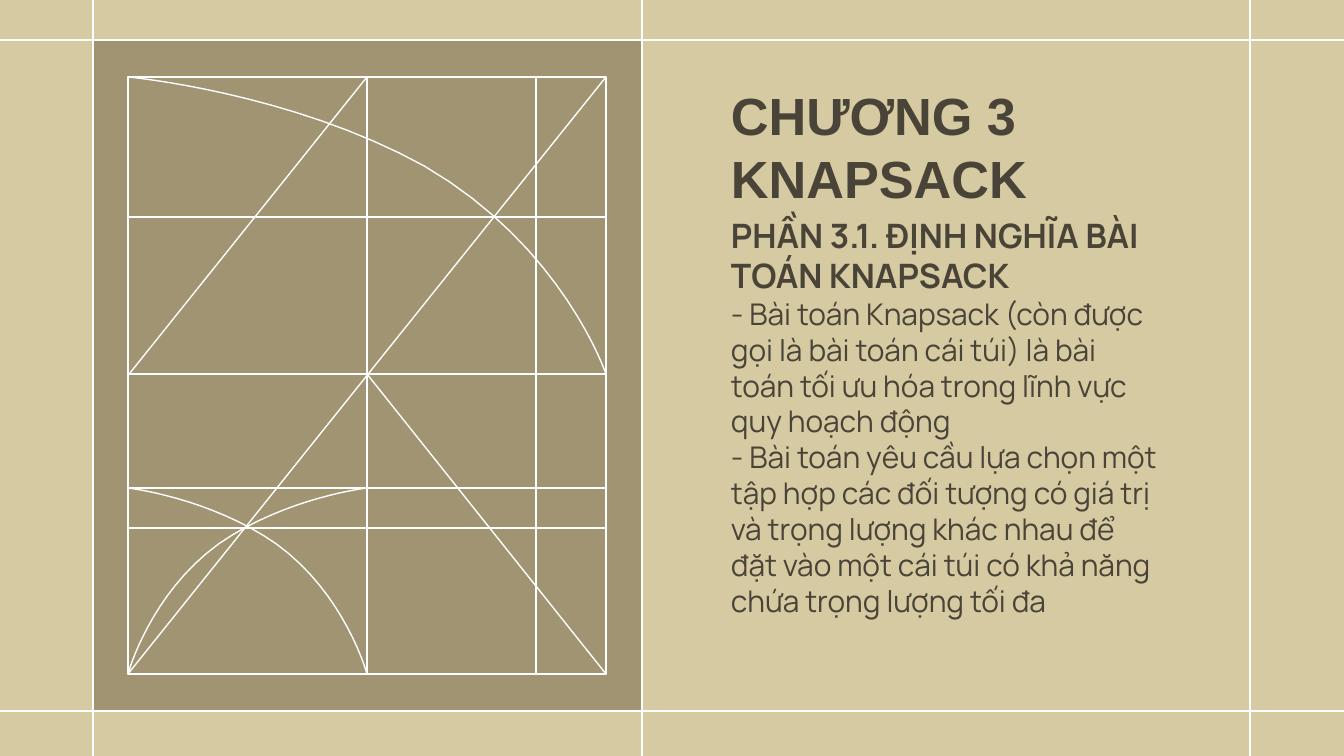
from lxml.etree import SubElement
from pptx import Presentation
from pptx.dml.color import RGBColor
from pptx.enum.shapes import MSO_CONNECTOR, MSO_SHAPE
from pptx.enum.text import MSO_ANCHOR, MSO_AUTO_SIZE, PP_ALIGN
from pptx.oxml.ns import qn
from pptx.util import Pt

SCALE = 9144000 / 1344  # EMU per px
COLORS = {"sand": "D6CAA2", "panel": "A09472", "line": "FFFFFF", "text": "494437"}


def px(*lengths):
    return [round(length * SCALE) for length in lengths]


def write(shape, paragraphs, left, top, width, height, font="Manrope", spacing=1.0):
    """Place a text shape and fill it with (text, size, bold) paragraphs."""
    shape.left, shape.top, shape.width, shape.height = px(left, top, width, height)
    frame = shape.text_frame
    frame.word_wrap = True
    frame.auto_size = MSO_AUTO_SIZE.NONE
    frame.vertical_anchor = MSO_ANCHOR.TOP
    frame.margin_left, frame.margin_top, frame.margin_right, frame.margin_bottom = px(13, 13, 13, 13)
    for index, (text, size, bold) in enumerate(paragraphs):
        paragraph = frame.add_paragraph() if index else frame.paragraphs[0]
        paragraph.alignment = PP_ALIGN.LEFT
        paragraph.line_spacing = spacing
        paragraph.space_before = paragraph.space_after = Pt(0)
        run = paragraph.add_run()
        run.text = text
        run.font.name, run.font.size, run.font.bold = font, Pt(size), bold
        run.font.color.rgb = RGBColor.from_string(COLORS["text"])


presentation = Presentation()
presentation.slide_width, presentation.slide_height = px(1344, 756)
slide = presentation.slides.add_slide(presentation.slide_layouts[5])
slide.background.fill.solid()
slide.background.fill.fore_color.rgb = RGBColor.from_string(COLORS["sand"])
shapes = slide.shapes
outlined = []

# Panel and drawing frame
panel = shapes.add_shape(MSO_SHAPE.RECTANGLE, *px(93, 40, 549, 671))
panel.fill.solid()
panel.fill.fore_color.rgb = RGBColor.from_string(COLORS["panel"])
left, top, right, bottom = 128, 77, 606, 674
center, middle = (left + right) // 2, 374
frame = shapes.add_shape(MSO_SHAPE.RECTANGLE, *px(left, top, right - left, bottom - top))
frame.fill.background()
outlined += [panel, frame]

# Page guides, grid lines and diagonals
lines = [(x, 0, x, 756) for x in (93, 642, 1250)]
lines += [(0, y, 1344, y) for y in (40, 711)]
lines += [(left, y, right, y) for y in (217, middle, 488, 528)]
lines += [(536, top, 536, bottom), (left, bottom, right, top), (center, middle, right, bottom)]
for ends in lines:
    outlined.append(shapes.add_connector(MSO_CONNECTOR.STRAIGHT, *px(*ends)))

# Lines from the middle of the frame's top to its bottom and left side
for side in (2, 1):
    connector = shapes.add_connector(MSO_CONNECTOR.STRAIGHT, 0, 0, 0, 0)
    connector.begin_connect(frame, 0)
    connector.end_connect(frame, side)
    outlined.append(connector)

# Arcs: one unit curve of two Bezier segments, stretched between two corners
segments = [((0, 0), (0, 0), (0.34, 0.05), (0.62, 0.3)),
            ((0.62, 0.3), (0.91, 0.57), (1, 1), (1, 1))]
STEPS = 16
unit_curve = []
for segment in segments:
    for step in range(STEPS + 1):
        t = step / STEPS
        weights = ((1 - t) ** 3, 3 * t * (1 - t) ** 2, 3 * t * t * (1 - t), t ** 3)
        unit_curve.append([sum(w * point[axis] for w, point in zip(weights, segment))
                           for axis in (0, 1)])
for x1, y1, x2, y2 in [(left, top, right, middle),
                       (left, 488, center, bottom),
                       (center, 488, left, bottom)]:
    points = [px(x1 + u * (x2 - x1), y1 + v * (y2 - y1)) for u, v in unit_curve]
    builder = shapes.build_freeform(*points[0], scale=1.0)
    builder.add_line_segments(points[1:], close=False)
    arc = builder.convert_to_shape()
    arc.fill.background()
    outlined.append(arc)

# Shared thin white line without shadow
for shape in outlined:
    shape.line.color.rgb = RGBColor.from_string(COLORS["line"])
    shape.line.width = Pt(0.75)
    if hasattr(shape, "shadow"):
        shape.shadow.inherit = False
    else:
        SubElement(shape._element.spPr, qn("a:effectLst"))

# Title and text
write(shapes.title, [("CHƯƠNG 3 KNAPSACK", 28, True)], 718, 70, 456, 218, font="Arial")
write(shapes.add_textbox(0, 0, 0, 0), [
    ("PHẦN 3.1. ĐỊNH NGHĨA BÀI TOÁN KNAPSACK", 18, True),
    ("- Bài toán Knapsack (còn được gọi là bài toán cái túi) là bài toán tối ưu hóa "
     "trong lĩnh vực quy hoạch động", 16, False),
    ("- Bài toán yêu cầu lựa chọn một tập hợp các đối tượng có giá trị và trọng lượng "
     "khác nhau để đặt vào một cái túi có khả năng chứa trọng lượng tối đa", 16, False),
], 718, 202, 456, 392)

presentation.save("out.pptx")
